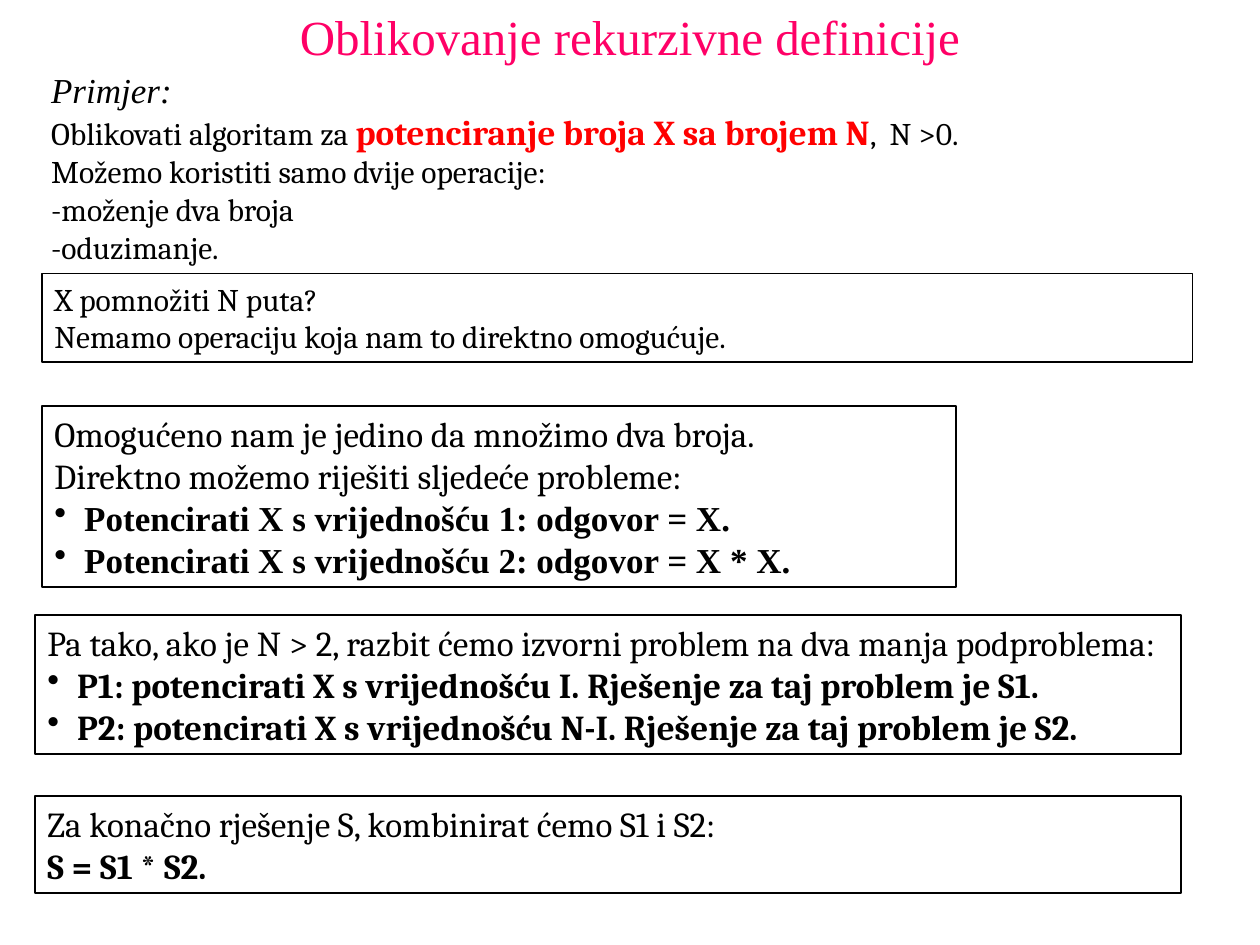
import pptx
import pptx.dml.color
import pptx.enum.shapes
import pptx.enum.text
import pptx.oxml.ns
import pptx.util
import lxml.etree

Pt = pptx.util.Pt
ALIGN = pptx.enum.text.PP_ALIGN
SERIF = "Times New Roman"
BODY = "Cambria"


def colour(hex_string):
    return pptx.dml.color.RGBColor.from_string(hex_string)


class SlideBuilder:
    """Holds the style and the current slide."""

    ink = "000000"
    accent = "FF0066"
    highlight = "FF0000"
    bullet_indent = 17

    def __init__(self, page):
        self.page = page

    def place(self, box, left, top, width, height):
        box.left, box.top = Pt(left), Pt(top)
        box.width, box.height = Pt(width), Pt(height)

    def add_span(self, para, text, size=20, font=BODY, ink=None, bold=False, italic=False):
        span = para.add_run()
        span.text = text
        span.font.size = Pt(size)
        span.font.name = font
        span.font.bold = bold
        span.font.italic = italic
        span.font.color.rgb = colour(ink or self.ink)

    def set_bullet(self, para, mark):
        properties = para._p.get_or_add_pPr()
        indent = Pt(self.bullet_indent) if mark else 0
        properties.set("marL", str(indent))
        properties.set("indent", str(-indent))
        tag = "a:buChar" if mark else "a:buNone"
        element = lxml.etree.SubElement(properties, pptx.oxml.ns.qn(tag))
        if mark:
            element.set("char", mark)

    def fill_text(self, box, paragraphs, align=ALIGN.LEFT):
        """Each paragraph is (bullet mark or None, list of (text, run style))."""
        frame = box.text_frame
        frame.word_wrap = True
        frame.auto_size = pptx.enum.text.MSO_AUTO_SIZE.NONE
        frame.vertical_anchor = pptx.enum.text.MSO_ANCHOR.TOP
        for index, (mark, spans) in enumerate(paragraphs):
            para = frame.add_paragraph() if index else frame.paragraphs[0]
            para.alignment = align
            para.space_before = para.space_after = Pt(0)
            para.line_spacing = 1.0
            self.set_bullet(para, mark)
            for text, style in spans:
                self.add_span(para, text, **style)

    def title(self, text, *bounds):
        box = self.page.shapes.title
        self.place(box, *bounds)
        style = dict(size=28, font=SERIF, ink=self.accent)
        self.fill_text(box, [(None, [(text, style)])], ALIGN.CENTER)

    def body(self, paragraphs, *bounds):
        box = self.page.placeholders[1]
        self.place(box, *bounds)
        self.fill_text(box, paragraphs)

    def framed(self, paragraphs, *bounds):
        kind = pptx.enum.shapes.MSO_SHAPE.RECTANGLE
        box = self.page.shapes.add_shape(kind, *map(Pt, bounds))
        box.shadow.inherit = False
        box.fill.background()
        box.line.color.rgb = colour(self.ink)
        box.line.width = Pt(1)
        self.fill_text(box, paragraphs)


def line(text, mark=None, **style):
    return mark, [(text, style)]


def main():
    deck = pptx.Presentation()
    deck.slide_width, deck.slide_height = Pt(720), Pt(540)
    builder = SlideBuilder(deck.slides.add_slide(deck.slide_layouts[1]))

    # Title and task
    builder.title("Oblikovanje rekurzivne definicije", 24, 0, 672, 41)
    builder.body([
        line("Primjer: ", font=SERIF, italic=True),
        (None, [
            ("Oblikovati algoritam za ", dict(size=18)),
            ("potenciranje broja X sa brojem N", dict(ink=builder.highlight, bold=True)),
            (",  N >0.", dict(size=18)),
        ]),
        line("Možemo koristiti samo dvije operacije:", size=18),
        line("-moženje dva broja", size=18),
        line("-oduzimanje.", size=18),
    ], 22, 35.3, 676, 120)

    # Why the direct way fails
    builder.framed([
        line("X pomnožiti N puta?", size=18),
        line("Nemamo operaciju koja nam to direktno omogućuje.", size=18),
    ], 24, 156.3, 657.5, 50.5)

    # Base cases
    builder.framed([
        line("Omogućeno nam je jedino da množimo dva broja."),
        line("Direktno možemo riješiti sljedeće probleme:"),
        line("Potencirati X s vrijednošću 1: odgovor = X.", "•", font=SERIF, bold=True),
        line("Potencirati X s vrijednošću 2: odgovor = X * X.", "•", font=SERIF, bold=True),
    ], 24, 232, 522.5, 103.5)

    # Subproblems
    builder.framed([
        line("Pa tako, ako je N > 2, razbit ćemo izvorni problem na dva manja podproblema:"),
        line("P1: potencirati X s vrijednošću I. Rješenje za taj problem je S1.", "•", bold=True),
        line("P2: potencirati X s vrijednošću N-I. Rješenje za taj problem je S2.", "•", bold=True),
    ], 20, 351.5, 655, 79.3)

    # Combined solution
    builder.framed([
        line("Za konačno rješenje S, kombinirat ćemo S1 i S2:"),
        line("S = S1 * S2.", bold=True),
    ], 20, 455, 655, 55.3)

    deck.save("out.pptx")


if __name__ == "__main__":
    main()
